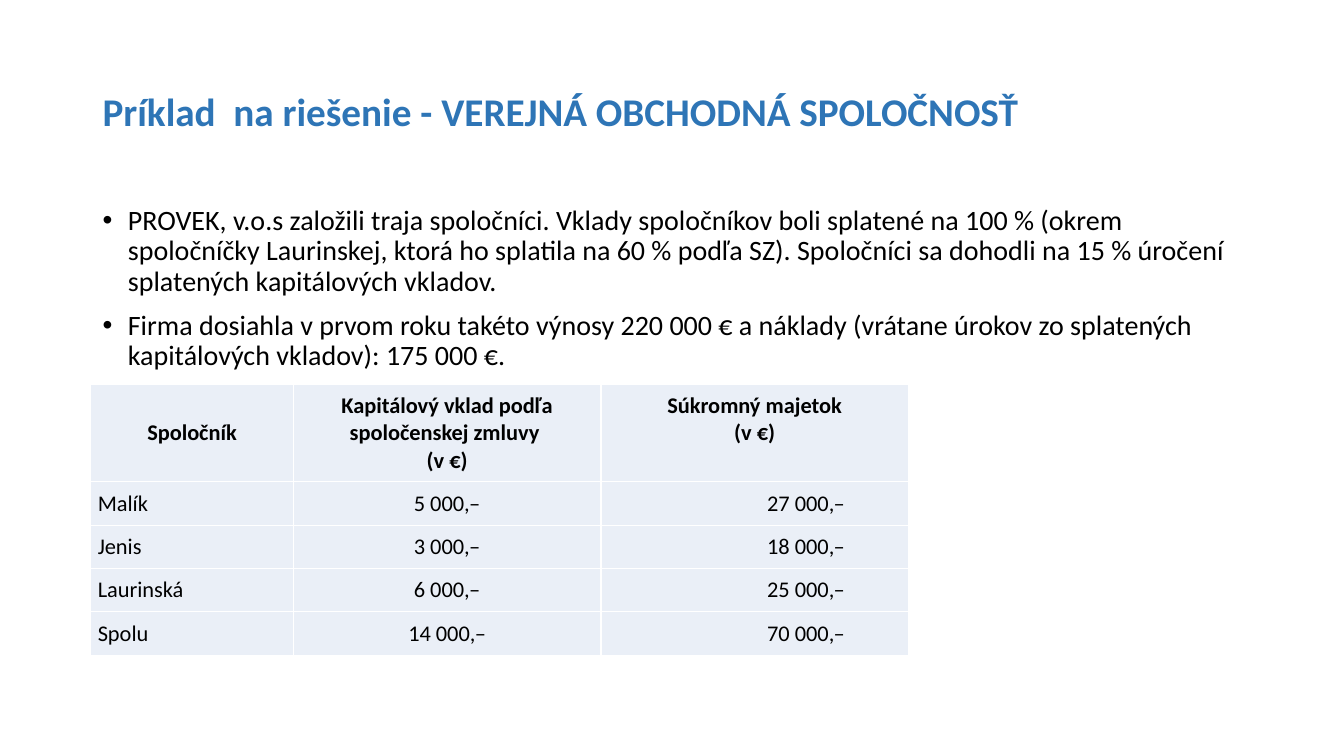
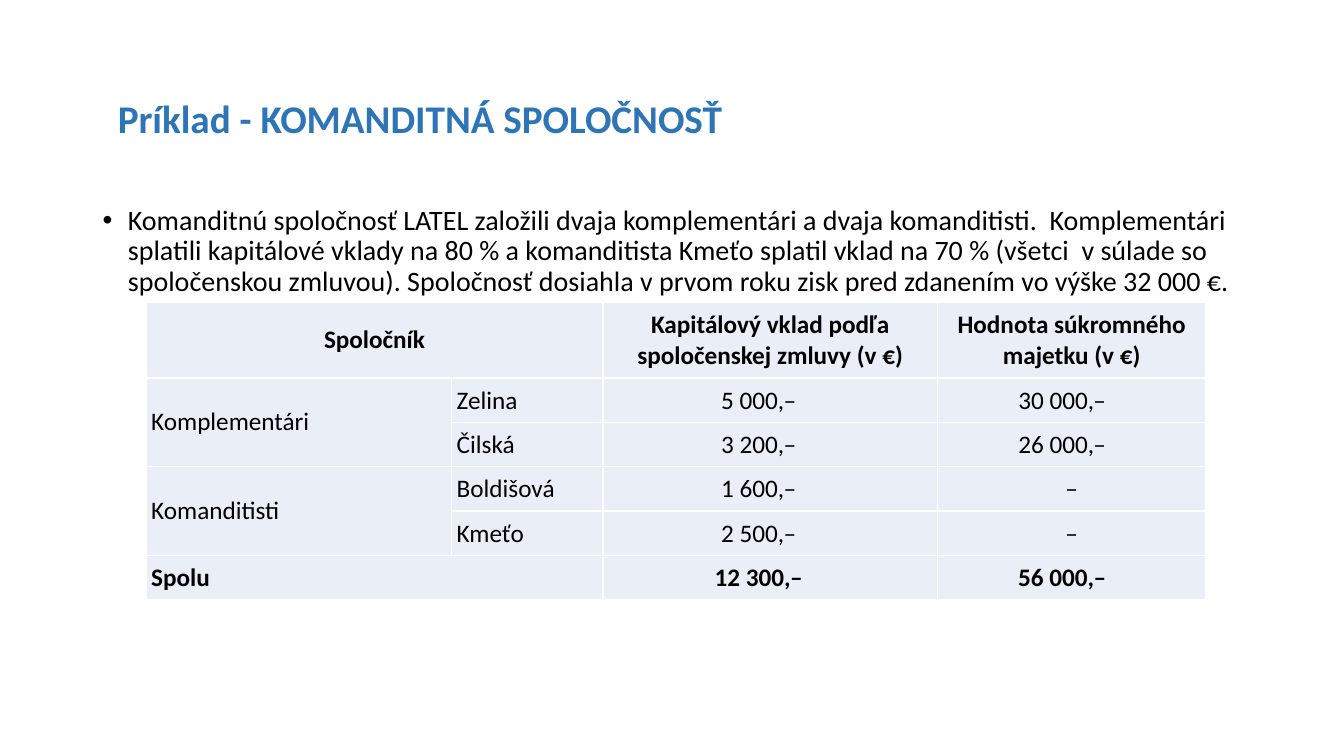
"""Build two slides on partnership exercises, each with a bulleted text and a table."""
from lxml import etree
from pptx import Presentation
from pptx.dml.color import RGBColor
from pptx.enum.text import MSO_ANCHOR, PP_ALIGN
from pptx.oxml.ns import qn
from pptx.util import Inches, Pt

LEFT, MID, RIGHT = PP_ALIGN.LEFT, PP_ALIGN.CENTER, PP_ALIGN.RIGHT
TOP, CENTER = MSO_ANCHOR.TOP, MSO_ANCHOR.MIDDLE
BLUE = RGBColor(0x2E, 0x75, 0xB6)
BLACK = RGBColor(0, 0, 0)
PALE = RGBColor(0xEA, 0xEF, 0xF7)
WHITE = RGBColor(0xFF, 0xFF, 0xFF)
FONT = "Calibri"

SLIDES = [
    {
        "title": "Príklad  na riešenie - VEREJNÁ OBCHODNÁ SPOLOČNOSŤ",
        "place": (0.92, 0.4),
        "body": [
            "PROVEK, v.o.s založili traja spoločníci. Vklady spoločníkov boli splatené "
            "na 100 % (okrem spoločníčky Laurinskej, ktorá ho splatila na 60 % podľa SZ). "
            "Spoločníci sa dohodli na 15 % úročení splatených kapitálových vkladov.",
            "Firma dosiahla v\u00a0prvom roku takéto výnosy 220 000 € a\u00a0náklady "
            "(vrátane úrokov zo splatených kapitálových vkladov): 175\u00a0000 €.",
        ],
        "table": {
            "at": (0.9, 3.81), "cols": (2.01, 3.05, 3.05), "head": 0.97, "row": 0.43,
            "size": 16, "pad": (0.07, 0.08), "anchor": TOP,
            "align": (LEFT, MID, RIGHT), "inset": (0.07, 0.07, 0.63),
            "merge": [], "bold": [0], "middle": [(0, 0)],
            "rows": [
                ("Spoločník", "Kapitálový vklad podľa spoločenskej zmluvy \n(v €)",
                 "Súkromný majetok\n(v €)"),
                ("Malík", "5\u00a0000,–", "27\u00a0000,–"),
                ("Jenis", "3\u00a0000,–", "18\u00a0000,–"),
                ("Laurinská", "6\u00a0000,–", "25 000,–"),
                ("Spolu", "14\u00a0000,–", "70\u00a0000,–"),
            ],
        },
    },
    {
        "title": "Príklad - KOMANDITNÁ SPOLOČNOSŤ",
        "place": (1.07, 0.47),
        "body": [
            "Komanditnú spoločnosť LATEL založili dvaja komplementári a dvaja komanditisti.  "
            "Komplementári splatili kapitálové vklady na 80 % a\u00a0komanditista Kmeťo "
            "splatil vklad na 70 % (všetci  v\u00a0súlade so spoločenskou zmluvou). "
            "Spoločnosť dosiahla v\u00a0prvom roku zisk pred zdanením vo výške 32 000 €.",
        ],
        "table": {
            "at": (1.45, 3), "cols": (3.03, 1.5, 3.32, 2.66), "head": 0.75, "row": 0.44,
            "size": 18, "pad": (0.05, 0.07), "anchor": CENTER,
            "align": (LEFT, LEFT, MID, MID), "inset": (0.05, 0.05, 0.28, 0.24),
            "merge": [(0, 0, 0, 1), (1, 0, 2, 0), (3, 0, 4, 0), (5, 0, 5, 1)],
            "bold": [0, 5], "middle": [],
            "rows": [
                ("Spoločník", "", "Kapitálový vklad podľa spoločenskej zmluvy (v\u00a0€)",
                 "Hodnota súkromného majetku (v\u00a0€)"),
                ("Komplementári", "Zelina", "5 000,–", "30\u00a0000,–"),
                ("", "Čilská", "3\u00a0200,–", "26 000,–"),
                ("Komanditisti", "Boldišová", "1\u00a0600,–", "–"),
                ("", "Kmeťo", "2 500,–", "–"),
                ("Spolu", "", "12\u00a0300,–", "56\u00a0000,–"),
            ],
        },
    },
]


def style(item, **values):
    for name, value in values.items():
        setattr(item, name, value)


def paint(par, size, color, bold=False):
    for run in par.runs:
        style(run.font, name=FONT, size=Pt(size), bold=bold)
        run.font.color.rgb = color


def add_text(slide, box, lines, size, color, bold=False, anchor=TOP, bullet=False):
    frame = slide.shapes.add_textbox(*map(Inches, box)).text_frame
    style(frame, word_wrap=True, vertical_anchor=anchor, text="\n".join(lines))
    for par in frame.paragraphs:
        par.line_spacing = 0.9
        paint(par, size, color, bold)
        if bullet:
            par.space_before = Pt(10)
            props = par._p.get_or_add_pPr()
            props.set("marL", str(Inches(0.25)))
            props.set("indent", str(-Inches(0.25)))
            etree.SubElement(props, qn("a:buFont"), typeface="Arial")
            etree.SubElement(props, qn("a:buChar"), char="•")


def add_edges(cell):
    props = cell._tc.get_or_add_tcPr()
    for side in ("lnL", "lnR", "lnT", "lnB"):
        line = etree.SubElement(props, qn("a:" + side), w=str(Pt(1)))
        fill = etree.SubElement(line, qn("a:solidFill"))
        etree.SubElement(fill, qn("a:srgbClr"), val=str(WHITE))


def fill_cell(cell, text, spec, row, col):
    side, edge = spec["pad"]
    right = side if row == 0 or text == "–" else spec["inset"][col]
    anchor = CENTER if (row, col) in spec["middle"] else spec["anchor"]
    style(cell, text=text, vertical_anchor=anchor,
          margin_left=Inches(side), margin_right=Inches(right),
          margin_top=Inches(edge), margin_bottom=Inches(edge))
    add_edges(cell)
    cell.fill.solid()
    cell.fill.fore_color.rgb = PALE
    for par in cell.text_frame.paragraphs:
        par.alignment = MID if row == 0 else spec["align"][col]
        par.font.size = Pt(spec["size"])
        paint(par, spec["size"], BLACK, row in spec["bold"])


def add_grid(slide, spec):
    rows, cols = spec["rows"], spec["cols"]
    highs = [spec["head"]] + [spec["row"]] * (len(rows) - 1)
    box = (*spec["at"], sum(cols), sum(highs))
    table = slide.shapes.add_table(len(rows), len(cols), *map(Inches, box)).table
    style(table, first_row=False, horz_banding=False)
    for col, wide in zip(table.columns, cols):
        col.width = Inches(wide)
    for row, high in zip(table.rows, highs):
        row.height = Inches(high)
    for r, row in enumerate(rows):
        for c, text in enumerate(row):
            fill_cell(table.cell(r, c), text, spec, r, c)
    for top, left, low, right in spec["merge"]:
        table.cell(top, left).merge(table.cell(low, right))


deck = Presentation()
style(deck, slide_width=Inches(13.33), slide_height=Inches(7.5))
for page in SLIDES:
    slide = deck.slides.add_slide(deck.slide_layouts[6])
    add_text(slide, (*page["place"], 11.5, 1.45), [page["title"]], 28, BLUE, True, CENTER)
    add_text(slide, (0.92, 2, 11.5, 4.76), page["body"], 20, BLACK, bullet=True)
    add_grid(slide, page["table"])
deck.save("out.pptx")
